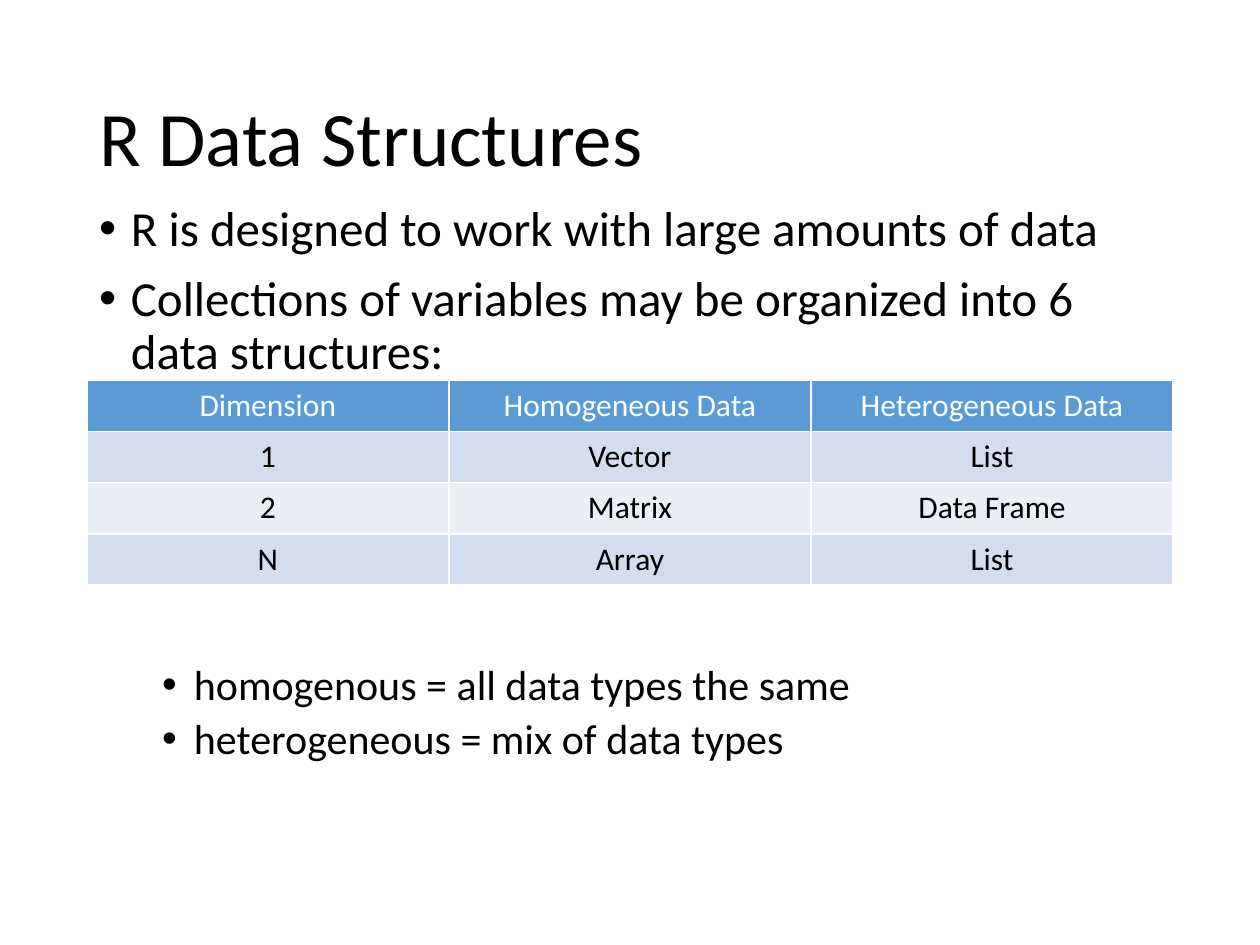
from dataclasses import dataclass

from lxml.etree import SubElement
from pptx import Presentation
from pptx.dml.color import RGBColor
from pptx.enum.text import MSO_ANCHOR, MSO_AUTO_SIZE, PP_ALIGN
from pptx.oxml.ns import qn
from pptx.util import Cm, Pt

FONT = "Calibri"
COLORS = {
    "text": "000000",
    "header_text": "FFFFFF",
    "grid": "FFFFFF",
    "header": "5B9BD5",
    "odd_row": "D2DEEF",
    "even_row": "EAEFF7",
}
LEFT, WIDTH = Cm(1.75), Cm(21.9)
ROW_HEIGHT = Cm(1.03)
TABLE_TOP = Cm(7.67)


@dataclass(frozen=True)
class Bullet:
    text: str
    size: float
    level: int
    space_before: float


BULLETS = [
    Bullet("R is designed to work with large amounts of data", 28, 0, 10),
    Bullet("Collections of variables may be organized into 6 data structures:", 28, 0, 10),
    # The wide gap leaves room for the table
    Bullet("homogenous = all data types the same", 24, 1, 162),
    Bullet("heterogeneous = mix of data types", 24, 1, 5),
]
STRUCTURES = [
    ("Dimension", "Homogeneous Data", "Heterogeneous Data"),
    ("1", "Vector", "List"),
    ("2", "Matrix", "Data Frame"),
    ("N", "Array", "List"),
]


def write(paragraph, text: str, *, size: float, color: str = "text",
          align=PP_ALIGN.LEFT, line_spacing: float = 1.0, space_before: float = 0) -> None:
    paragraph.alignment = align
    paragraph.line_spacing = line_spacing
    paragraph.space_before = Pt(space_before)
    run = paragraph.add_run()
    run.text = text
    run.font.name = FONT
    run.font.size = Pt(size)
    run.font.color.rgb = RGBColor.from_string(COLORS[color])


def add_bullet_mark(paragraph, level: int) -> None:
    paragraph.level = level
    properties = paragraph._p.get_or_add_pPr()
    properties.set("marL", str(Cm(0.64 + 1.27 * level)))
    properties.set("indent", str(-Cm(0.64)))
    SubElement(properties, qn("a:buFont"), typeface="Arial")
    SubElement(properties, qn("a:buChar"), char="•")


def set_borders(cell, color: str, width: float) -> None:
    properties = cell._tc.get_or_add_tcPr()
    for position, side in enumerate(("lnL", "lnR", "lnT", "lnB")):
        line = properties.makeelement(qn(f"a:{side}"), {"w": str(Pt(width))})
        fill = SubElement(line, qn("a:solidFill"))
        SubElement(fill, qn("a:srgbClr"), val=COLORS[color])
        properties.insert(position, line)


def add_title(slide, text: str) -> None:
    title = slide.shapes.title
    title.left, title.top, title.width, title.height = LEFT, Cm(1.01), WIDTH, Cm(3.68)
    frame = title.text_frame
    frame.auto_size = MSO_AUTO_SIZE.NONE
    frame.vertical_anchor = MSO_ANCHOR.MIDDLE
    write(frame.paragraphs[0], text, size=44, line_spacing=0.9)


def add_bullets(slide, bullets: list[Bullet]) -> None:
    frame = slide.shapes.add_textbox(LEFT, Cm(3.99), WIDTH, Cm(13.16)).text_frame
    frame.word_wrap = True
    for index, bullet in enumerate(bullets):
        paragraph = frame.add_paragraph() if index else frame.paragraphs[0]
        write(paragraph, bullet.text, size=bullet.size, line_spacing=0.9,
              space_before=bullet.space_before)
        add_bullet_mark(paragraph, bullet.level)


def add_structure_table(slide, rows: list[tuple[str, ...]]) -> None:
    table = slide.shapes.add_table(len(rows), len(rows[0]), LEFT, TABLE_TOP,
                                   WIDTH, ROW_HEIGHT * len(rows)).table
    for row_index, row in enumerate(rows):
        if row_index == 0:
            fill, color = "header", "header_text"
        else:
            fill, color = ("odd_row" if row_index % 2 else "even_row"), "text"
        for column_index, text in enumerate(row):
            cell = table.cell(row_index, column_index)
            cell.fill.solid()
            cell.fill.fore_color.rgb = RGBColor.from_string(COLORS[fill])
            set_borders(cell, "grid", 1)
            write(cell.text_frame.paragraphs[0], text, size=18, color=color,
                  align=PP_ALIGN.CENTER)
            cell.text_frame.paragraphs[0].runs[0].font.bold = False


def main() -> None:
    presentation = Presentation()
    presentation.slide_width, presentation.slide_height = Cm(25.4), Cm(19.05)
    slide = presentation.slides.add_slide(presentation.slide_layouts[5])
    add_bullets(slide, BULLETS)
    add_title(slide, "R Data Structures")
    add_structure_table(slide, STRUCTURES)
    presentation.save("out.pptx")


if __name__ == "__main__":
    main()
